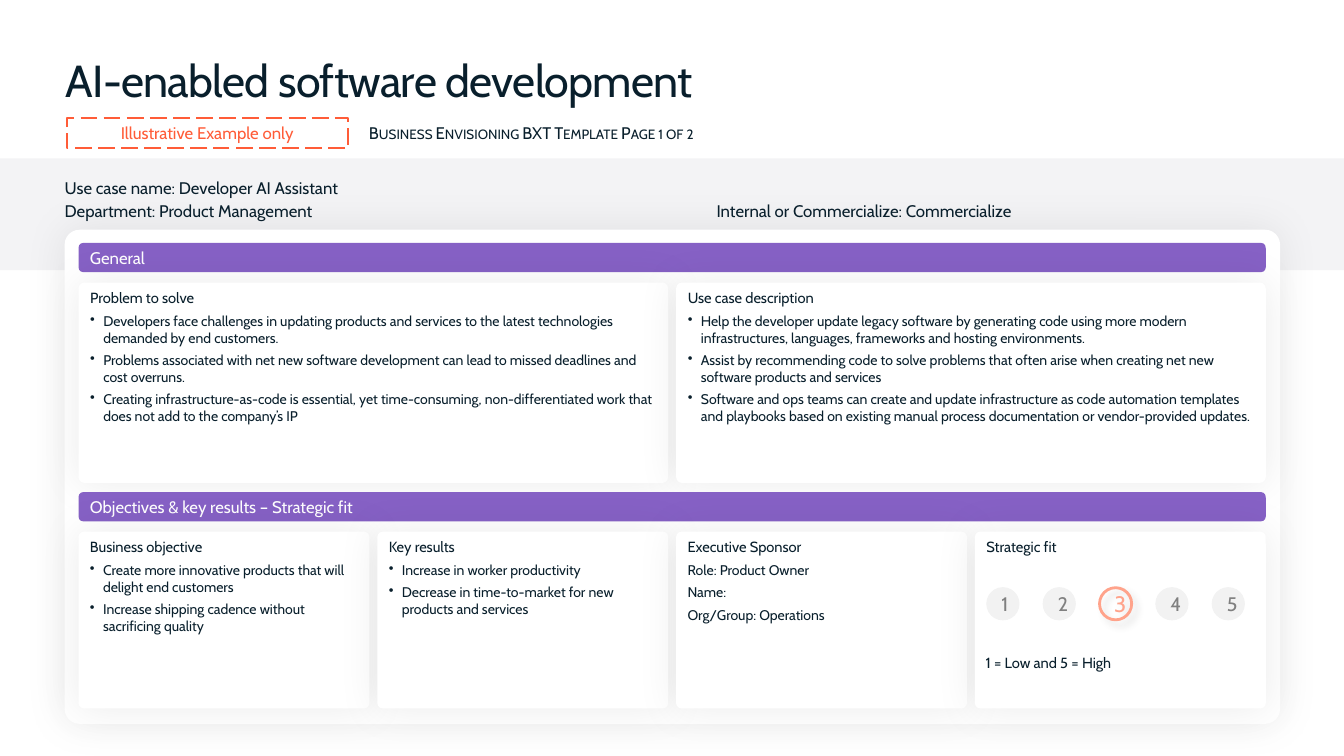
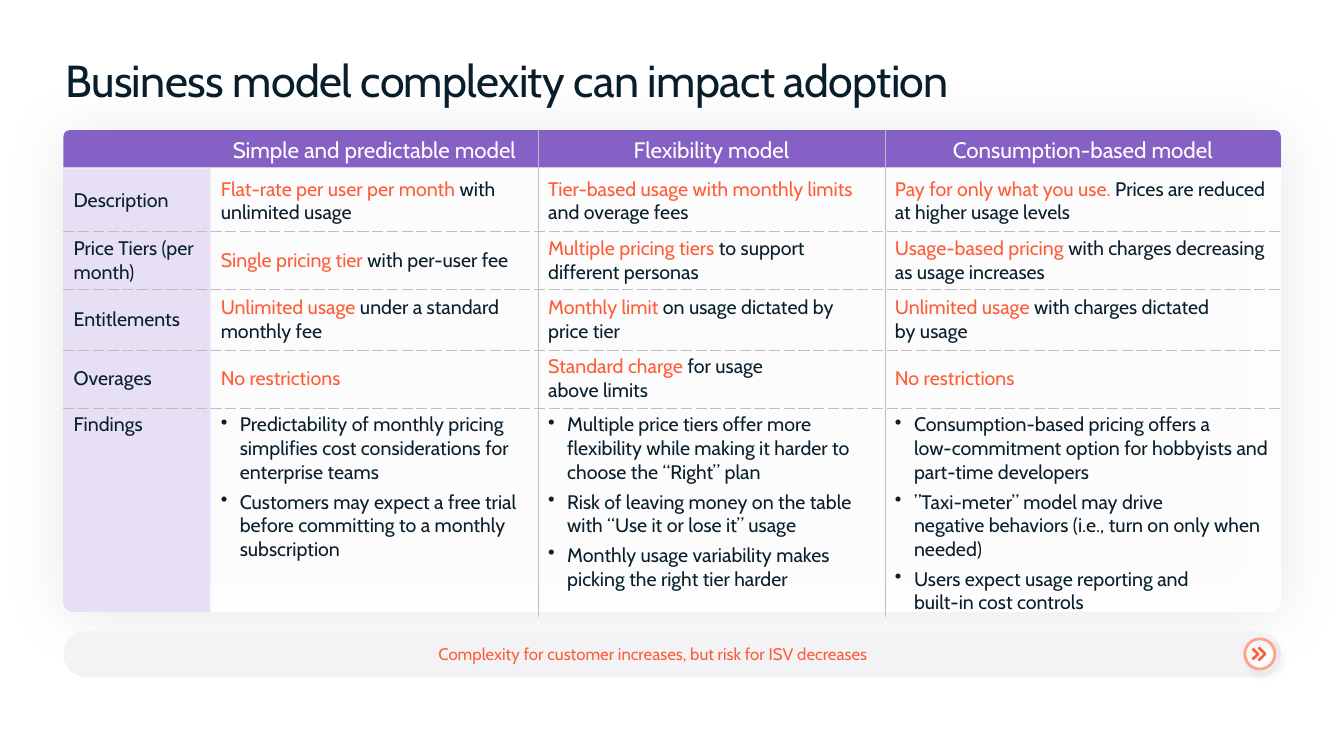
"""Build a use case template slide and a business model comparison slide."""
from copy import deepcopy
from dataclasses import dataclass, replace
from typing import Any

import pptx
import pptx.dml.color
import pptx.enum.dml
import pptx.enum.shapes
import pptx.enum.text
import pptx.oxml
import pptx.oxml.ns
import pptx.util

Cm = pptx.util.Cm
Pt = pptx.util.Pt
Shape = pptx.enum.shapes.MSO_SHAPE
Align = pptx.enum.text.PP_ALIGN
Anchor = pptx.enum.text.MSO_ANCHOR
qn = pptx.oxml.ns.qn

FONT = "Cabin"
NO_GRID = "{2D5ABB26-0587-4C30-8999-92F81FD0307C}"
COLORS = {
    "ink": "091F2C", "white": "FFFFFF", "band": "F3F3F5", "purple": "8661C5",
    "lilac": "E7DFF3", "orange": "FF5C38", "coral": "FFA38B", "rule": "BFBFBF",
    "dot": "F2F2F2", "gray": "808080", "black": "000000", "smoke": "737373",
}


@dataclass(frozen=True)
class Box:
    left: float
    top: float
    width: float
    height: float


@dataclass(frozen=True)
class Line:
    text: str
    size: float = 12
    ink: str = "ink"
    lead: str = ""
    indent: float = 0
    after: float = 0
    align: Any = Align.LEFT


@dataclass(frozen=True)
class Shade:
    color: str
    alpha: int
    blur: float
    dist: float = 0
    angle: int = 0


@dataclass(frozen=True)
class Tile:
    head: str
    items: tuple[str, ...] = ()
    indent: float = 0.33


@dataclass(frozen=True)
class Row:
    label: str
    height: float
    cells: tuple[tuple[Line, ...], ...]


SOFT = Shade("black", 7, 30)
DEEP = Shade("black", 10, 46, 3, 66)
RING = Shade("smoke", 20, 5, 5, 45)


def rgb(name: str) -> Any:
    return pptx.dml.color.RGBColor.from_string(COLORS[name])


def node(xml: str) -> Any:
    """Parse one drawing element."""
    head, tail = xml.split(">", 1)
    space = pptx.oxml.ns.nsdecls("a")
    close = "/" if head.endswith("/") else ""
    return pptx.oxml.parse_xml(f"{head.rstrip('/')} {space}{close}>{tail}")


def write(frame: Any, lines: tuple[Line, ...]) -> None:
    """Put lines into a text frame and format their runs."""
    for index, line in enumerate(lines):
        para = frame.add_paragraph() if index else frame.paragraphs[0]
        para.text = line.lead or line.text
        if line.lead:
            for place, piece in enumerate(line.text.split("\v")):
                if place:
                    para.add_line_break()
                para.add_run().text = piece
        if line.indent:
            props = para._p.get_or_add_pPr()
            props.set("marL", str(Cm(line.indent)))
            props.set("indent", str(-Cm(line.indent)))
            props.append(node('<a:buChar char="•"/>'))
        para.alignment = line.align
        para.space_after = Pt(line.after)
        for place, run in enumerate(para.runs):
            run.font.name = FONT
            run.font.size = Pt(line.size)
            run.font.color.rgb = rgb("orange" if line.lead and not place else line.ink)
        for gap in para._p.findall(qn("a:br")):
            gap.insert(0, deepcopy(para.runs[-1]._r.rPr))


def finish(shape: Any, fill: str = "", line: str = "", width: float = 1,
           shade: Shade | None = None) -> None:
    """Set fill, outline and shadow."""
    shape.shadow.inherit = False
    if fill:
        shape.fill.solid()
        shape.fill.fore_color.rgb = rgb(fill)
    else:
        shape.fill.background()
    if line:
        shape.line.color.rgb = rgb(line)
        shape.line.width = Pt(width)
    else:
        shape.line.fill.background()
    if shade:
        shape._element.spPr.find(qn("a:effectLst")).append(node(
            f'<a:outerShdw blurRad="{Pt(shade.blur)}" dist="{Pt(shade.dist)}" '
            f'dir="{shade.angle * 60000}" algn="ctr" rotWithShape="0">'
            f'<a:srgbClr val="{COLORS[shade.color]}"><a:alpha val="{shade.alpha * 1000}"/>'
            '</a:srgbClr></a:outerShdw>'))


def draw(slide: Any, kind: Any, box: Box, fill: str = "", line: str = "",
         width: float = 1, shade: Shade | None = None, bend: float | None = None,
         lines: tuple[Line, ...] = (), anchor: Any = Anchor.MIDDLE) -> Any:
    """Add a preset shape, with text if given."""
    shape = slide.shapes.add_shape(
        kind, Cm(box.left), Cm(box.top), Cm(box.width), Cm(box.height))
    finish(shape, fill, line, width, shade)
    if bend is not None:
        shape.adjustments[0] = bend
    if lines:
        shape.text_frame.word_wrap = True
        shape.text_frame.vertical_anchor = anchor
        write(shape.text_frame, lines)
    return shape


def label(slide: Any, box: Box, line: Line, anchor: Any = Anchor.TOP) -> Any:
    """Add a text box without margins."""
    shape = slide.shapes.add_textbox(
        Cm(box.left), Cm(box.top), Cm(box.width), Cm(box.height))
    frame = shape.text_frame
    frame.word_wrap = True
    frame.vertical_anchor = anchor
    frame.margin_left = frame.margin_right = frame.margin_top = frame.margin_bottom = 0
    write(frame, (line,))
    return shape


def title(slide: Any, text: str) -> None:
    shape = label(slide, Box(1.65, 1.32, 30.58, 1.37), Line(text, 32))
    shape.text_frame.paragraphs[0].runs[0]._r.rPr.set("spc", "-50")


def tiles(slide: Any, top: float, height: float, items: tuple[Tile, ...]) -> None:
    """Draw equal panels across the card."""
    gap = 0.2
    width = (29.92 - gap * (len(items) - 1)) / len(items)
    for index, tile in enumerate(items):
        body = tuple(Line(text, 10, indent=tile.indent, after=4) for text in tile.items)
        draw(slide, Shape.ROUNDED_RECTANGLE,
             Box(1.98 + index * (width + gap), top, width, height), "white",
             shade=SOFT, bend=0.03, anchor=Anchor.TOP,
             lines=(Line(tile.head, 10.5, after=4), *body))


def scale(slide: Any, chosen: int) -> None:
    """Draw the rating from one to five."""
    for mark in range(1, 6):
        box = Box(24.87 + 1.42 * (mark - 1), 14.81, 0.81, 0.81)
        if mark == chosen:
            draw(slide, Shape.OVAL, box, line="coral", width=2, shade=RING,
                 lines=(Line(str(mark), 16, "coral", align=Align.CENTER),))
        else:
            draw(slide, Shape.OVAL, box, "dot", "dot", 0.75,
                 lines=(Line(str(mark), 14, "gray", after=2, align=Align.CENTER),))


GENERAL = (
    Tile("Problem to solve", (
        "Developers face challenges in updating products and services to the latest technologies demanded by end customers.",
        "Problems associated with net new software development can lead to missed deadlines and cost overruns.",
        "Creating infrastructure-as-code is essential, yet time-consuming, non-differentiated work that does not add to the company’s IP")),
    Tile("Use case description", (
        "Help the developer update legacy software by generating code using more modern infrastructures, languages, frameworks and hosting environments.",
        "Assist by recommending code to solve problems that often arise when creating net new software products and services",
        "Software and ops teams can create and update infrastructure as code automation templates and playbooks based on existing manual process documentation or vendor-provided updates.")),
)
RESULTS = (
    Tile("Business objective", (
        "Create more innovative products that will delight end customers",
        "Increase shipping cadence without sacrificing quality")),
    Tile("Key results", (
        "Increase in worker productivity",
        "Decrease in time-to-market for new products and services")),
    Tile("Executive Sponsor", ("Role: Product Owner", "Name:", "Org/Group: Operations"), 0),
    Tile("Strategic fit"),
)


def case(slide: Any) -> None:
    """Draw the use case template."""
    draw(slide, Shape.RECTANGLE, Box(0, 3.99, 33.87, 2.82), "band")
    draw(slide, Shape.ROUNDED_RECTANGLE, Box(1.63, 5.79, 30.63, 12.45), "white",
         shade=SOFT, bend=0.03)
    title(slide, "AI-enabled software development")
    note = draw(slide, Shape.RECTANGLE, Box(1.68, 2.97, 7.09, 0.77), line="orange", width=1.5,
                lines=(Line("Illustrative Example only", ink="orange", align=Align.CENTER),))
    note.line.dash_style = pptx.enum.dml.MSO_LINE.LONG_DASH
    page = label(slide, Box(9.3, 3.1, 11.58, 0.51),
                 Line("Business Envisioning BXT Template Page 1 of 2"))
    page.text_frame.paragraphs[0].runs[0]._r.rPr.set("cap", "small")
    for left, top, text in (
            (1.63, 4.47, "Use case name: Developer AI Assistant"),
            (1.63, 5.06, "Department: Product Management"),
            (18.06, 5.06, "Internal or Commercialize: Commercialize")):
        label(slide, Box(left, top, 14.22, 0.52), Line(text), Anchor.MIDDLE)
    for top, head, height, items in (
            (6.12, "General", 5.05, GENERAL),
            (12.4, "Objectives & key results – Strategic fit", 4.45, RESULTS)):
        draw(slide, Shape.ROUNDED_RECTANGLE, Box(1.98, top, 29.92, 0.74), "purple",
             lines=(Line(head, ink="white"),))
        tiles(slide, top + 1, height, items)
    scale(slide, 3)
    label(slide, Box(24.84, 16.48, 5.92, 0.46), Line("1 = Low and 5 = High", 10.5))


def pair(lead: str, text: str) -> tuple[Line, ...]:
    return (Line(text, 14, lead=lead),)


def points(*texts: str) -> tuple[Line, ...]:
    return tuple(Line(text, 14, indent=0.48, after=4) for text in texts)


FREE = (Line("No restrictions", 14, "orange"),)
HEADS = ("Simple and predictable model", "Flexibility model", "Consumption-based model")
ROWS = (
    Row("", 0.92, tuple((Line(head, 16, "white", align=Align.CENTER),) for head in HEADS)),
    Row("Description", 1.53, (
        pair("Flat-rate per user per month ", "with unlimited usage"),
        pair("Tier-based usage with monthly limits ", "and overage fees"),
        pair("Pay for only what you use. ", "Prices are reduced at higher usage levels"))),
    Row("Price Tiers (per month)", 1.46, (
        pair("Single pricing tier ", "with per-user fee"),
        pair("Multiple pricing tiers ", "to support different personas"),
        pair("Usage-based pricing ", "with charges decreasing as usage increases"))),
    Row("Entitlements", 1.53, (
        pair("Unlimited usage ", "under a standard \vmonthly fee"),
        pair("Monthly limit ", "on usage dictated by \vprice tier"),
        pair("Unlimited usage ", "with charges dictated\vby usage"))),
    Row("Overages", 1.46, (
        FREE, pair("Standard charge ", "for usage\vabove limits"), FREE)),
    Row("Findings", 5.26, (
        points("Predictability of monthly pricing simplifies cost considerations for enterprise teams",
               "Customers may expect a free trial before committing to a monthly subscription"),
        points("Multiple price tiers offer more flexibility while making it harder to choose the “Right” plan",
               "Risk of leaving money on the table with “Use it or lose it” usage",
               "Monthly usage variability makes picking the right tier harder"),
        points("Consumption-based pricing offers a\vlow-commitment option for hobbyists and part-time developers",
               "”Taxi-meter” model may drive\vnegative behaviors (i.e., turn on only when needed)",
               "Users expect usage reporting and\vbuilt-in cost controls"))),
)


def rule(cell: Any, sides: dict[str, str]) -> None:
    """Draw cell borders, given as side and dash."""
    props = cell._tc.get_or_add_tcPr()
    for index, (side, dash) in enumerate(sides.items()):
        props.insert(index, node(
            f'<a:ln{side} w="{Pt(0.5)}"><a:solidFill><a:srgbClr val="{COLORS["rule"]}"/>'
            f'</a:solidFill><a:prstDash val="{dash}"/></a:ln{side}>'))


def grid(slide: Any, box: Box, widths: tuple[float, ...]) -> None:
    """Add the comparison table."""
    last = len(ROWS) - 1
    frame = slide.shapes.add_table(len(ROWS), len(widths), Cm(box.left), Cm(box.top),
                                   Cm(box.width), Cm(box.height))
    table = frame.table
    table.first_row = table.horz_banding = False
    table._tbl.tblPr.find(qn("a:tableStyleId")).text = NO_GRID
    for column, width in zip(table.columns, widths):
        column.width = Cm(width)
    for r, row in enumerate(ROWS):
        table.rows[r].height = Cm(row.height)
        for c, lines in enumerate(((Line(row.label, 14),), *row.cells)):
            cell = table.cell(r, c)
            cell.fill.background()
            cell.vertical_anchor = Anchor.TOP if r == last else Anchor.MIDDLE
            tail = replace(lines[-1], after=0)
            write(cell.text_frame, (*lines[:-1], tail))
            tests = (("L", c > 1, "solid"), ("R", c in (1, 2), "solid"),
                     ("T", r > 1, "dash"), ("B", 0 < r < last, "dash"))
            rule(cell, {side: dash for side, shown, dash in tests if shown})


def arrow(slide: Any) -> None:
    """Draw the double chevron in its ring."""
    spot = Box(31.37, 16.1, 0.76, 0.76)
    draw(slide, Shape.OVAL, spot, "white")
    draw(slide, Shape.OVAL, spot, line="coral", width=2, shade=RING)
    mid = 1648
    pen = slide.shapes.build_freeform(3175, mid - 18, Cm(0.01))
    for left, half in ((3170, 18), (3155, 15)):
        upper = [(left + 2, -half), (left + 5, -half), (left + half + 3, -2)]
        lower = [(x, -y) for x, y in reversed(upper)]
        inner = [(left, half - 5), (left + half - 4, 0), (left, 5 - half)]
        spots = [(x, mid + y) for x, y in upper + lower + inner]
        pen.move_to(*spots[0])
        pen.add_line_segments(spots[1:], close=True)
    finish(pen.convert_to_shape(), "orange")


def model(slide: Any) -> None:
    """Draw the business model comparison."""
    title(slide, "Business model complexity can impact adoption")
    box = Box(1.6, 3.28, 30.68, 12.14)
    card = draw(slide, Shape.ROUNDED_RECTANGLE, box, "white", shade=DEEP, bend=0.02)
    tint = card._element.spPr.find(qn("a:solidFill")).find(qn("a:srgbClr"))
    tint.append(node('<a:alpha val="90000"/>'))
    draw(slide, Shape.ROUND_2_SAME_RECTANGLE, replace(box, height=0.94), "purple")
    side = draw(slide, Shape.ROUND_1_RECTANGLE, Box(1.59, 4.24, 3.71, 11.18), "lilac", bend=0.07)
    side.rotation = 180
    grid(slide, box, (3.71, 8.25, 8.74, 9.98))
    draw(slide, Shape.ROUNDED_RECTANGLE, Box(1.6, 15.9, 30.68, 1.17), "band", bend=0.5)
    arrow(slide)
    label(slide, Box(11.05, 16.23, 11.76, 0.51),
          Line("Complexity for customer increases, but risk for ISV decreases", ink="orange"),
          Anchor.MIDDLE)


def main() -> None:
    deck = pptx.Presentation()
    deck.slide_width, deck.slide_height = Cm(33.87), Cm(19.05)
    for build in (case, model):
        build(deck.slides.add_slide(deck.slide_layouts[6]))
    deck.save("out.pptx")


if __name__ == "__main__":
    main()
